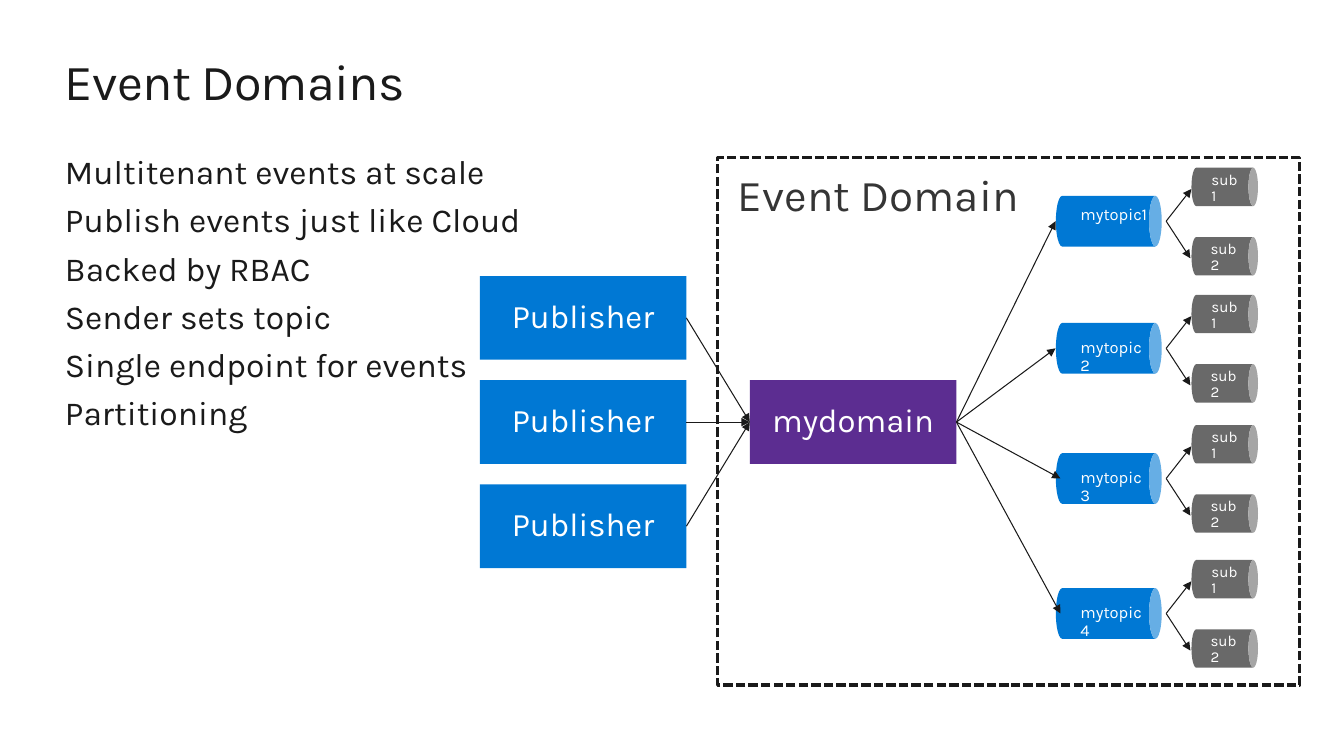
from pptx import Presentation
from pptx.dml.color import RGBColor
from pptx.enum.dml import MSO_LINE
from pptx.enum.shapes import MSO_CONNECTOR, MSO_SHAPE
from pptx.enum.text import MSO_ANCHOR, MSO_AUTO_SIZE, PP_ALIGN
from pptx.oxml.ns import qn
from pptx.util import Pt
from lxml import etree

COLORS = {"ink": "1A1A1A", "caption": "353535", "blue": "0078D4",
          "purple": "5C2D91", "gray": "696969", "white": "FFFFFF"}
FONT = "Karla"
STRAIGHT = MSO_CONNECTOR.STRAIGHT
RECTANGLE, CAN = MSO_SHAPE.RECTANGLE, MSO_SHAPE.CAN
TOP, MIDDLE = MSO_ANCHOR.TOP, MSO_ANCHOR.MIDDLE
LEFT, CENTER = PP_ALIGN.LEFT, PP_ALIGN.CENTER
NO_FIT = MSO_AUTO_SIZE.NONE
DASH = MSO_LINE.SQUARE_DOT

BULLETS = ["Multitenant events at scale", "Publish events just like Cloud",
           "Backed by RBAC", "Sender sets topic",
           "Single endpoint for events", "Partitioning"]
BOX_WIDTH, BOX_HEIGHT = 147.6, 59.8
TOPICS = [("mytopic1", 158, 754, -11), ("mytopic2", 248.8, 754, -6.5),
          ("mytopic3", 341.8, 757.5, -6.5), ("mytopic4", 438.2, 757.5, -6.5)]
SUBSCRIPTIONS = [("sub1", -24.5, 851), ("sub2", 25, 850.3)]


def color(name):
    """Return the named colour."""
    return RGBColor.from_string(COLORS[name])


def write(shape, lines, size, ink="ink", align=LEFT, anchor=TOP,
          insets=(0, 0, 0, 0), line_spacing=None, space_after=0, tracking=None):
    """Fill a shape with formatted paragraphs."""
    frame = shape.text_frame
    frame.auto_size, frame.word_wrap = NO_FIT, True
    frame.vertical_anchor = anchor
    (frame.margin_left, frame.margin_top,
     frame.margin_right, frame.margin_bottom) = map(Pt, insets)
    for index, line in enumerate(lines):
        para = frame.paragraphs[0] if index == 0 else frame.add_paragraph()
        para.alignment = align
        para.space_before, para.space_after = Pt(0), Pt(space_after)
        para.line_spacing = line_spacing
        span = para.add_run()
        span.text = line
        span.font.name, span.font.size = FONT, Pt(size)
        span.font.color.rgb = color(ink)
        if tracking is not None:
            span.font._element.set("spc", str(round(tracking * 100)))


def add_box(page, kind, left, top, width, height, fill=None):
    """Add a flat preset shape without an outline."""
    box = page.shapes.add_shape(kind, Pt(left), Pt(top), Pt(width), Pt(height))
    box.shadow.inherit = False
    box.line.fill.background()
    if fill:
        box.fill.solid()
        box.fill.fore_color.rgb = color(fill)
    else:
        box.fill.background()
    return box


def add_arrow(page, start, end):
    """Add a thin arrow between two points."""
    arrow = page.shapes.add_connector(STRAIGHT, *map(Pt, start + end))
    arrow.line.color.rgb = color("ink")
    arrow.line.width = Pt(0.75)
    etree.SubElement(arrow.line._get_or_add_ln(), qn("a:tailEnd"), type="triangle")
    etree.SubElement(arrow._element.spPr, qn("a:effectLst"))


def add_label(page, text, left, top, width, height, **style):
    """Add a white text label over a cylinder."""
    label = page.shapes.add_textbox(Pt(left), Pt(top), Pt(width), Pt(height))
    write(label, [text], ink="white", line_spacing=0.9, **style)


def add_cylinder(page, center, middle, length, thickness, fill):
    """Add a cylinder lying on its side around a centre point."""
    can = add_box(page, CAN, center - thickness / 2, middle - length / 2,
                  thickness, length, fill)
    can.rotation = 90


def add_node(page, text, left, middle, fill):
    """Add a labelled rectangle centred on a height."""
    node = add_box(page, RECTANGLE, left, middle - BOX_HEIGHT / 2,
                   BOX_WIDTH, BOX_HEIGHT, fill)
    write(node, [text], 23.5, "white", align=CENTER, anchor=MIDDLE,
          insets=(14.4, 11.5, 14.4, 11.5), line_spacing=0.9)


def add_heading(page, left, top, width, height):
    """Place the slide title."""
    title = page.shapes.title
    title.left, title.top, title.width, title.height = map(
        Pt, (left, top, width, height))
    write(title, ["Event Domains"], 36, tracking=-0.5)


def add_bullets(page, left, top, width, height):
    """Place the list of features."""
    box = page.shapes.add_textbox(Pt(left), Pt(top), Pt(width), Pt(height))
    write(box, BULLETS, 24, space_after=5.6)


def add_publishers(page, left, middle, pitch, target):
    """Place three publishers with arrows to the domain."""
    for step in (-1, 0, 1):
        height = middle + step * pitch
        add_node(page, "Publisher", left, height, "blue")
        add_arrow(page, (left + BOX_WIDTH, height), (target, middle))


def add_topic(page, text, middle, shift):
    """Place a topic cylinder with its two subscriptions."""
    add_cylinder(page, 792, middle, 75.6, 36.2, "blue")
    add_label(page, text, 757.4, middle + shift, 75.6, 28, size=11.8,
              insets=(14.4, 0, 12, 0))
    for name, offset, tip in SUBSCRIPTIONS:
        add_cylinder(page, 874.8, middle + offset, 47.5, 27.4, "gray")
        add_label(page, name, tip, middle + offset - 16, 50, 34, size=10.8,
                  anchor=MIDDLE, insets=(14.4, 0, 14.4, 0))
        add_arrow(page, (833, middle), (tip, middle + offset + 1.5))


def add_domain(page, left, top, width, height, middle):
    """Place the dashed domain with its hub and topics."""
    hub = left + 23
    add_node(page, "mydomain", hub, middle, "purple")
    for text, center, tip, shift in TOPICS:
        add_topic(page, text, center, shift)
        add_arrow(page, (hub + BOX_WIDTH, middle), (tip, center))
    frame = add_box(page, RECTANGLE, left, top, width, height)
    frame.line.color.rgb = color("ink")
    frame.line.width, frame.line.dash_style = Pt(2.25), DASH
    write(frame, ["Event Domain"], 31.4, "caption",
          insets=(14.4, 11.5, 14.4, 11.5), line_spacing=0.9)


def main():
    """Build the deck and save it."""
    deck = Presentation()
    deck.slide_width, deck.slide_height = Pt(960), Pt(540)
    page = deck.slides.add_slide(deck.slide_layouts[5])
    add_heading(page, 46.4, 36, 867.6, 44)
    add_bullets(page, 46.4, 108, 360, 227)
    add_domain(page, 512.6, 112.7, 415.8, 376.6, 301.5)
    add_publishers(page, 342.7, 301.5, 74.4, 535.6)
    deck.save("out.pptx")


if __name__ == "__main__":
    main()
